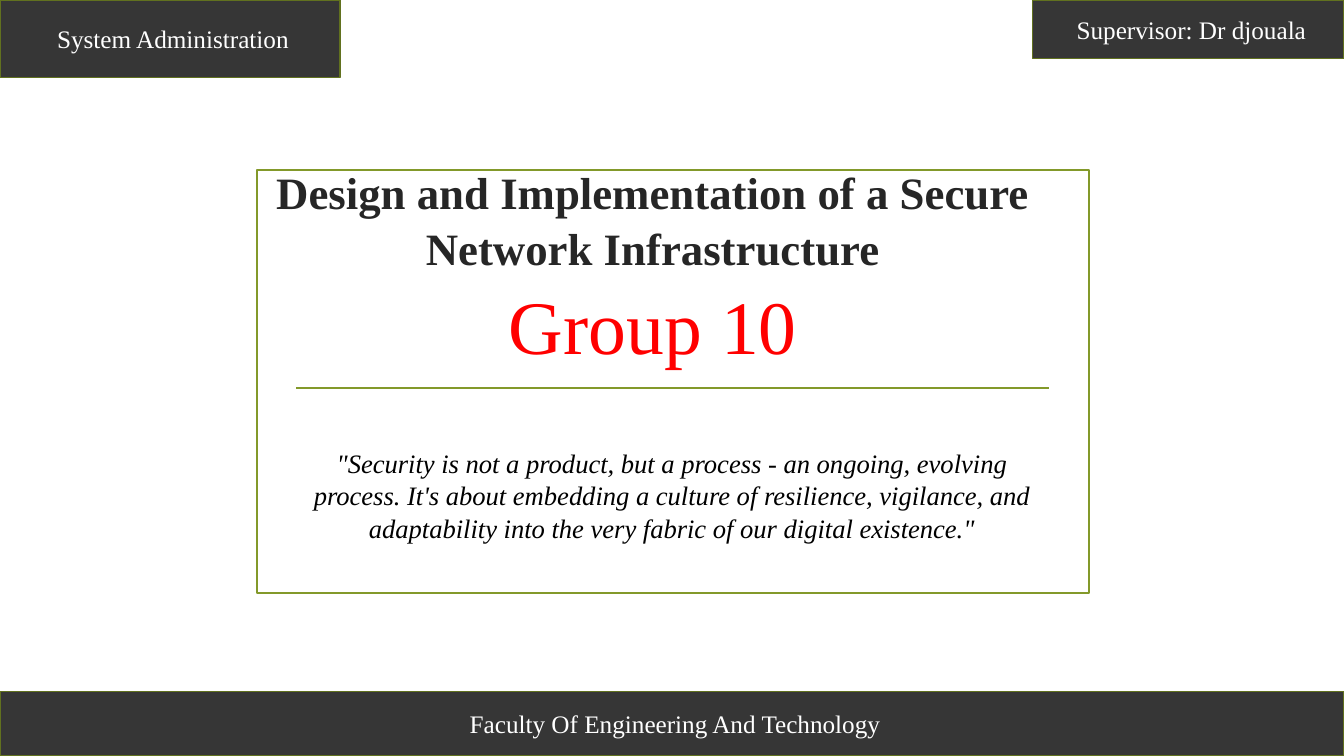
from pptx import Presentation
from pptx.dml.color import RGBColor
from pptx.enum import shapes, text
from pptx.oxml import ns
from pptx.util import Inches, Pt
from lxml import etree

FONT = "Times New Roman"
COLORS = {
    "olive": "83992A",
    "dark_olive": "61711F",
    "charcoal": "363636",
    "heading": "262626",
    "red": "FF0000",
    "black": "000000",
    "white": "FFFFFF",
}
SLIDE_WIDTH, SLIDE_HEIGHT = 13.33, 7.5
FOOTER_HEIGHT = 0.64


def color(name):
    return RGBColor.from_string(COLORS[name])


def place(shape, left, top, width, height):
    shape.left, shape.top = Inches(left), Inches(top)
    shape.width, shape.height = Inches(width), Inches(height)


def style_line(line, name):
    line.color.rgb = color(name)
    line.width = Pt(1.25)


def write(paragraph, words, size, color_name, bold=False, italic=False):
    paragraph.alignment = text.PP_ALIGN.CENTER
    run = paragraph.add_run()
    run.text = words
    font = run.font
    font.name, font.size = FONT, Pt(size)
    font.bold, font.italic = bold, italic
    font.color.rgb = color(color_name)


def add_box(slide, left, top, width, height, line_name, fill_name=None):
    shape = slide.shapes.add_shape(
        shapes.MSO_SHAPE.RECTANGLE,
        Inches(left), Inches(top), Inches(width), Inches(height))
    shape.shadow.inherit = False
    if fill_name:
        shape.fill.solid()
        shape.fill.fore_color.rgb = color(fill_name)
    else:
        shape.fill.background()
    style_line(shape.line, line_name)
    return shape


def add_banner(slide, words, left, top, width, height):
    banner = add_box(slide, left, top, width, height, "dark_olive", "charcoal")
    frame = banner.text_frame
    frame.word_wrap = True
    frame.vertical_anchor = text.MSO_ANCHOR.MIDDLE
    frame.margin_left = Inches(0.16)
    write(frame.paragraphs[0], words, 18, "white")


def add_rule(slide, left, right, top):
    rule = slide.shapes.add_connector(
        shapes.MSO_CONNECTOR.STRAIGHT,
        Inches(left), Inches(top), Inches(right), Inches(top))
    style_line(rule.line, "olive")
    etree.SubElement(rule._element.spPr, ns.qn("a:effectLst"))


def prepare_placeholder(placeholder, bounds, anchor):
    place(placeholder, *bounds)
    frame = placeholder.text_frame
    frame.word_wrap = True
    frame.auto_size = text.MSO_AUTO_SIZE.NONE
    frame.vertical_anchor = anchor
    return frame


def fill_title(slide):
    frame = prepare_placeholder(
        slide.shapes.title, (2.56, 1.69, 7.83, 2.01), text.MSO_ANCHOR.BOTTOM)
    frame.margin_bottom = Inches(0.03)
    topic, group = frame.paragraphs[0], frame.add_paragraph()
    write(topic, "Design and Implementation of a Secure Network Infrastructure",
          32, "heading", bold=True)
    write(group, "Group 10", 54, "red")
    for paragraph in (topic, group):
        paragraph.line_spacing = 1.05
        paragraph.space_before = Pt(0)


def fill_quote(slide):
    frame = prepare_placeholder(
        slide.placeholders[1], (2.94, 4, 7.45, 1.44), text.MSO_ANCHOR.TOP)
    frame.margin_top = Inches(0.42)
    quote = frame.paragraphs[0]
    write(quote,
          "\"Security is not a product, but a process - an ongoing, evolving "
          "process. It's about embedding a culture of resilience, vigilance, "
          "and adaptability into the very fabric of our digital existence.\"",
          19, "black", italic=True)
    quote.line_spacing = 1.03
    quote.space_before = Pt(0)


def main():
    presentation = Presentation()
    presentation.slide_width = Inches(SLIDE_WIDTH)
    presentation.slide_height = Inches(SLIDE_HEIGHT)
    slide = presentation.slides.add_slide(presentation.slide_layouts[0])

    add_box(slide, 2.55, 1.69, 8.25, 4.19, "olive")
    add_rule(slide, 2.94, 10.4, 3.85)
    fill_title(slide)
    fill_quote(slide)
    add_banner(slide, "System Administration", 0, 0, 3.37, 0.77)
    add_banner(slide, "Supervisor: Dr djouala", 10.24, 0, 3.09, 0.58)
    add_banner(slide, "Faculty Of Engineering And Technology",
               0, SLIDE_HEIGHT - FOOTER_HEIGHT, SLIDE_WIDTH, FOOTER_HEIGHT)

    presentation.save("out.pptx")


if __name__ == "__main__":
    main()
